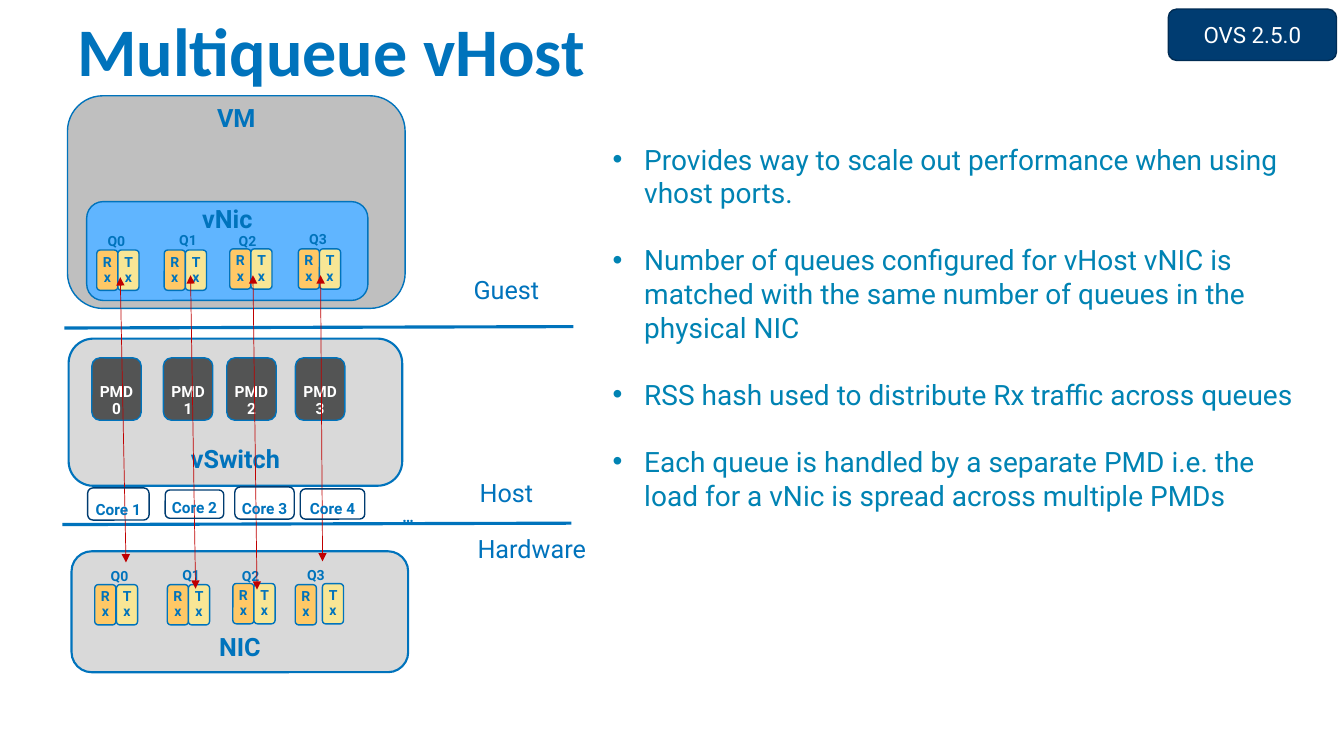
from lxml import etree
from pptx import Presentation
from pptx.dml.color import RGBColor
from pptx.enum.shapes import MSO_CONNECTOR, MSO_SHAPE
from pptx.enum.text import MSO_ANCHOR, PP_ALIGN
from pptx.oxml.ns import qn
from pptx.util import Pt

ROUNDED = MSO_SHAPE.ROUNDED_RECTANGLE
STRAIGHT = MSO_CONNECTOR.STRAIGHT
TOP, MIDDLE, BOTTOM = MSO_ANCHOR.TOP, MSO_ANCHOR.MIDDLE, MSO_ANCHOR.BOTTOM
LEFT, CENTER = PP_ALIGN.LEFT, PP_ALIGN.CENTER

BLUE, NAVY, RED = "0073BC", "003C71", "C00000"
TIGHT = (3, 0)
NORMAL = (7.2, 3.6)

VNIC_QUEUES = [
    (7.2, 34.6, 15.1, 0, 0.7, -15.8),
    (55.4, 34.6, 15.1, 0, 3.6, -16.6),
    (102.2, 33.8, 15.1, 0, -0.7, -15.1),
    (151.2, 33.8, 15.1, 0, 0.7, -16.6),
]
NIC_QUEUES = [
    (16.6, 23.8, 15.5, 0, 4.3, -15.8),
    (68.4, 23.8, 15.1, 0, 3.6, -16.6),
    (115.2, 23, 15.1, 0, -0.7, -15.1),
    (159.8, 23.8, 19.4, -0.7, 1.4, -16.6),
]
CORES = [
    (0, 0.7, 43.9, 23),
    (55.4, 2.2, 41.8, 20.2),
    (105.1, 0, 42.5, 23),
    (151.9, 1.4, 46.1, 21.6),
]
FLOWS = [
    (90, 401.8, 85.9, 198),
    (139.7, 420.5, 136.1, 196.6),
    (183.6, 421.2, 180.7, 196.6),
    (230.4, 401, 229, 196.6),
]
POINTS = [
    "Provides way to scale out performance when using vhost ports.",
    "Number of queues configured for vHost vNIC is matched with the same "
    "number of queues in the physical NIC",
    "RSS hash used to distribute Rx traffic across queues",
    "Each queue is handled by a separate PMD i.e. the load for a vNic is "
    "spread across multiple PMDs",
]


def rgb(color):
    return RGBColor.from_string(color)


def set_frame(sp, anchor, margins):
    tf = sp.text_frame
    tf.word_wrap = True
    tf.vertical_anchor = anchor
    tf.margin_left = tf.margin_right = Pt(margins[0])
    tf.margin_top = tf.margin_bottom = Pt(margins[1])
    return tf


def add_run(p, text, size, color, bold=False, font="Roboto"):
    r = p.add_run()
    r.text = text
    r.font.size = Pt(size)
    r.font.name = font
    r.font.bold = bold
    r.font.color.rgb = rgb(color)


def label(s, box, text, size, color=BLUE, bold=False, anchor=TOP, font="Roboto"):
    sp = s.shapes.add_textbox(*map(Pt, box))
    p = set_frame(sp, anchor, NORMAL).paragraphs[0]
    p.alignment = LEFT
    add_run(p, text, size, color, bold, font)
    return p


def card(s, box, text, size, fill=None, line=BLUE, width=1, color=BLUE,
         bold=True, anchor=MIDDLE, margins=TIGHT):
    sp = s.shapes.add_shape(ROUNDED, *map(Pt, box))
    sp.shadow.inherit = False
    if fill:
        sp.fill.solid()
        sp.fill.fore_color.rgb = rgb(fill)
    else:
        sp.fill.background()
    if line:
        sp.line.color.rgb = rgb(line)
        sp.line.width = Pt(width)
    else:
        sp.line.fill.background()
    p = set_frame(sp, anchor, margins).paragraphs[0]
    p.alignment = CENTER
    if margins == TIGHT:
        p.line_spacing = 0.9
        p.space_after = Pt(1.9)
    add_run(p, text, size, color, bold)


def connect(s, ends, color, width, arrows=False):
    c = s.shapes.add_connector(STRAIGHT, *map(Pt, ends))
    c.line.color.rgb = rgb(color)
    c.line.width = Pt(width)
    if arrows:
        ln = c.line._get_or_add_ln()
        for tag in ("a:headEnd", "a:tailEnd"):
            etree.SubElement(ln, qn(tag), type="triangle")
    etree.SubElement(c._element.spPr, qn("a:effectLst"))


def add_queues(s, left, top, queues):
    for i, (dx, dy, tx_dx, tx_dy, label_dx, label_dy) in enumerate(queues):
        x, y = left + dx, top + dy
        card(s, (x, y, 15.1, 28.8), "Rx", 10, "FFC866")
        card(s, (x + tx_dx, y + tx_dy, 15.1, 28.8), "Tx", 10, "F8E695")
        label(s, (x + label_dx, y + label_dy, 35, 19.4), f"Q{i}", 10, bold=True)


def add_vm(s, box):
    left, top = box[:2]
    card(s, box, "VM", 18, "BFBFBF", anchor=TOP)
    vnic = (left + 13.7, top + 75.6, 200.9, 70.6)
    card(s, vnic, "vNic", 18, "60B5FF", anchor=TOP)
    add_queues(s, *vnic[:2], VNIC_QUEUES)


def add_vswitch(s, box):
    left, top = box[:2]
    card(s, box, "vSwitch", 18, "D9D9D9", width=1.5, anchor=BOTTOM, margins=NORMAL)
    for i, dx in enumerate((16.6, 67.7, 113, 162)):
        card(s, (left + dx, top + 13.7, 35.3, 44.6), f"PMD {i}", 11, "535454",
             color="FFFFFF", anchor=BOTTOM)


def add_nic(s, box):
    card(s, box, "NIC", 18, "D9D9D9", width=1.5, anchor=BOTTOM, margins=NORMAL)
    add_queues(s, *box[:2], NIC_QUEUES)


def add_layers(s, box):
    left, top, width, height = box
    for x, y in ((left + 1.4, top), (left, top + height)):
        connect(s, (x, y + 1, x + width, y), BLUE, 2.25)
    for name, dx, dy in (("Guest", 286.6, -41), ("Host", 290.9, 104.4),
                         ("Hardware", 289.4, 144)):
        label(s, (left + dx, top + dy, 101.5, 28.8), name, 18)


def add_cores(s, box):
    left, top = box[:2]
    for i, (dx, dy, width, height) in enumerate(CORES, 1):
        card(s, (left + dx, top + dy, width, height), f"Core {i}", 11,
             line=NAVY, anchor=BOTTOM)
    card(s, (left + 202.3, top + 3.6, 53.3, 25.2), "…", 11, line=None, anchor=BOTTOM)


def add_points(s, box):
    tf = set_frame(s.shapes.add_textbox(*map(Pt, box)), TOP, NORMAL)
    for i, text in enumerate(POINTS):
        p = tf.add_paragraph() if i else tf.paragraphs[0]
        if i:
            p.space_before = Pt(24)
        pPr = p._p.get_or_add_pPr()
        pPr.set("marL", str(Pt(22.5)))
        pPr.set("indent", str(-Pt(22.5)))
        etree.SubElement(pPr, qn("a:buFont"), typeface="Arial")
        etree.SubElement(pPr, qn("a:buChar"), char="•")
        add_run(p, text, 20, "0083B3")


def add_header(s, box):
    left, top, width, height = box
    p = label(s, box, "Multiqueue vHost", 48.6, bold=True, anchor=BOTTOM, font="Calibri")
    p.line_spacing = 0.9
    card(s, (left + 786.3, top - 11.5, 120.2, 36.7), "OVS 2.5.0", 16, NAVY, "002C54",
         color="FFFFFF", bold=False, margins=NORMAL)


def main():
    prs = Presentation()
    prs.slide_width, prs.slide_height = Pt(960), Pt(540)
    s = prs.slides.add_slide(prs.slide_layouts[6])
    add_vm(s, (48.2, 68.4, 241.2, 151.9))
    add_vswitch(s, (49, 241.9, 238.3, 105.1))
    add_nic(s, (51.1, 393.8, 240.5, 86.4))
    add_layers(s, (44.6, 233.3, 363.6, 140.4))
    for ends in FLOWS:
        connect(s, ends, RED, 0.5, arrows=True)
    add_points(s, (430.6, 97.9, 514.1, 346.3))
    add_header(s, (48.2, 18, 864, 50.4))
    add_cores(s, (62.6, 347.8, 255.6, 28.8))
    prs.save("out.pptx")


if __name__ == "__main__":
    main()
